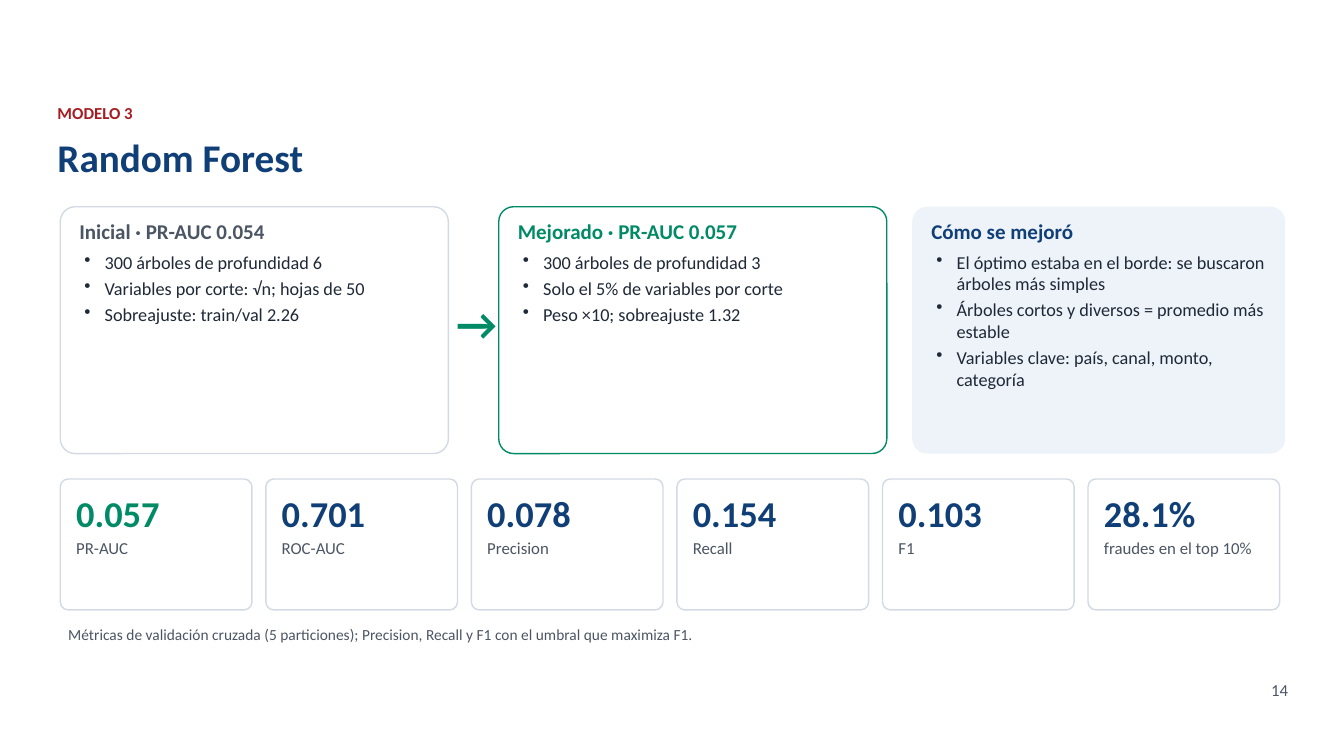
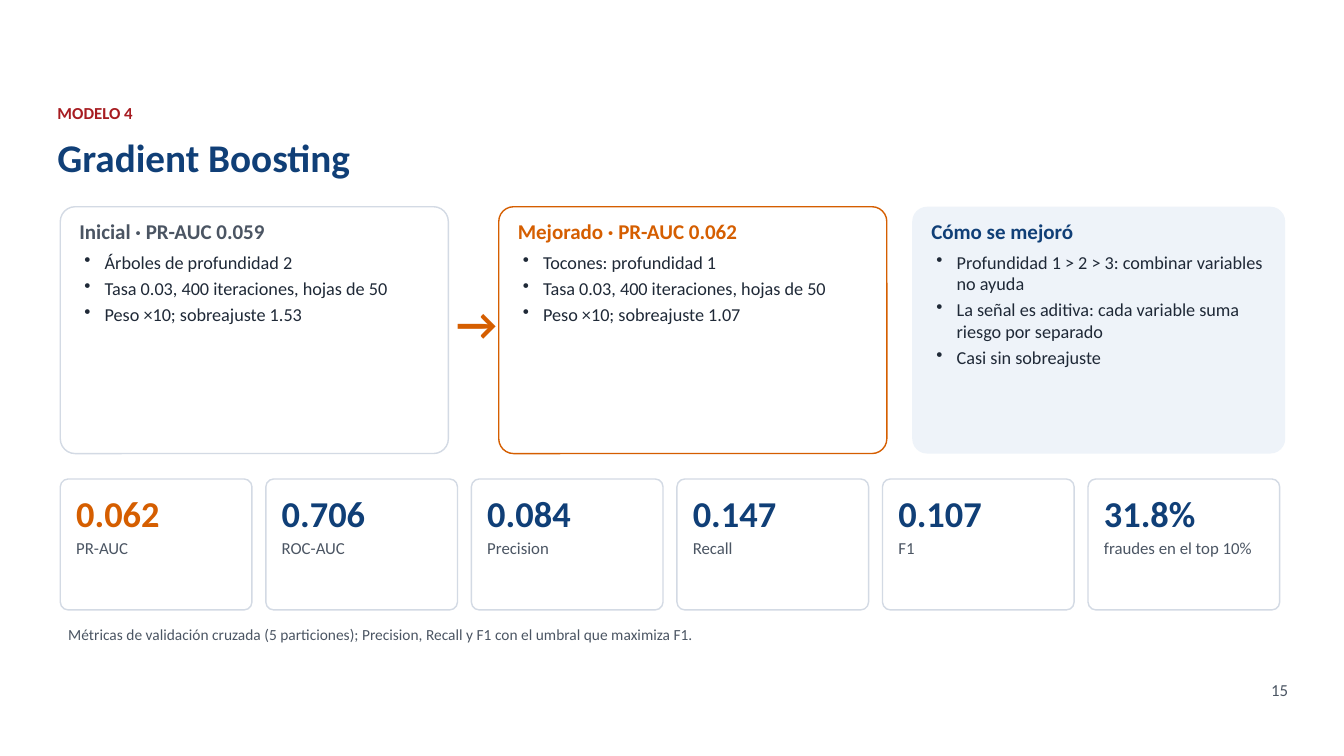
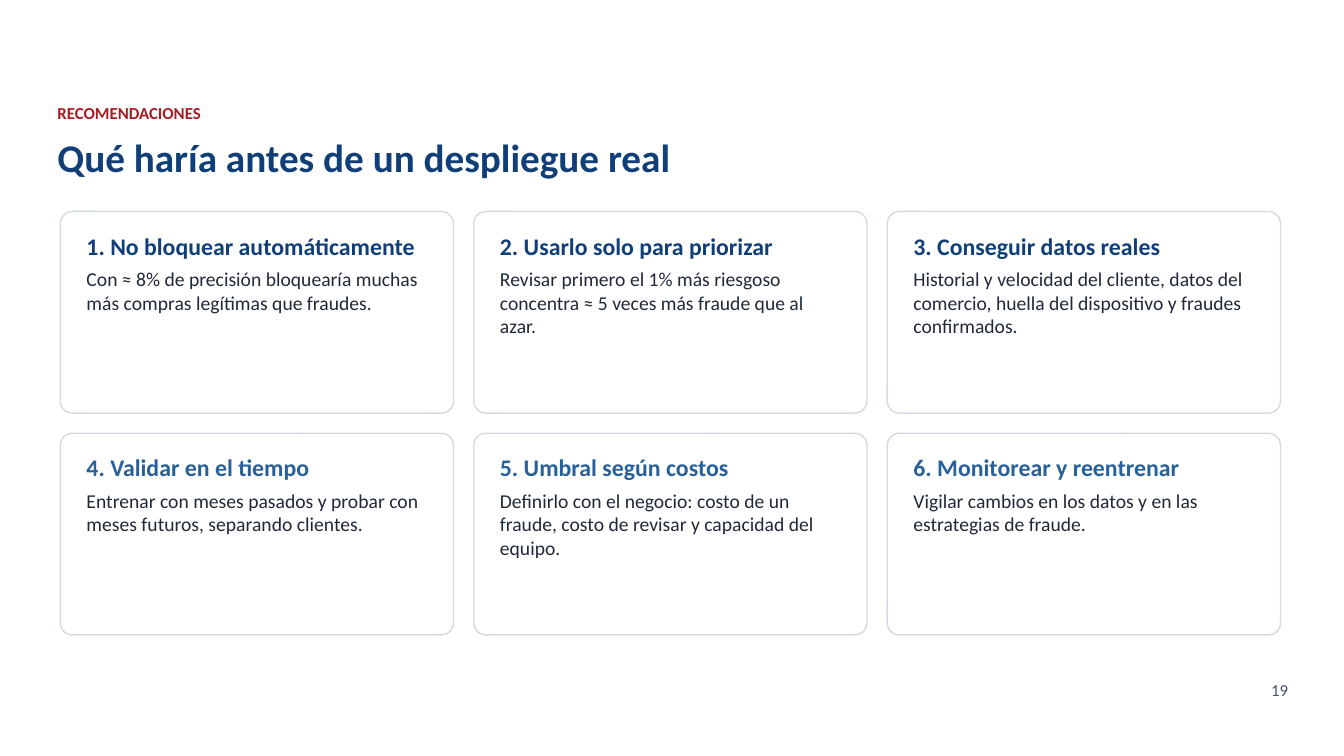
import pptx
import pptx.util
import pptx.dml.color
import pptx.enum.shapes
import pptx.enum.text
import pptx.oxml.ns
from lxml import etree

Cm, Pt = pptx.util.Cm, pptx.util.Pt
ALIGN = pptx.enum.text.PP_ALIGN

# Content
METRICS = ["PR-AUC", "ROC-AUC", "Precision", "Recall", "F1", "fraudes en el top 10%"]
METRICS_NOTE = ("Métricas de validación cruzada (5 particiones); "
                "Precision, Recall y F1 con el umbral que maximiza F1.")
MODELS = [
    {
        "kicker": "MODELO 3", "title": "Random Forest", "page": "14", "accent": "green",
        "initial": ("Inicial · PR-AUC 0.054", [
            "300 árboles de profundidad 6",
            "Variables por corte: √n; hojas de 50",
            "Sobreajuste: train/val 2.26"]),
        "improved": ("Mejorado · PR-AUC 0.057", [
            "300 árboles de profundidad 3",
            "Solo el 5% de variables por corte",
            "Peso ×10; sobreajuste 1.32"]),
        "how": ("Cómo se mejoró", [
            "El óptimo estaba en el borde: se buscaron árboles más simples",
            "Árboles cortos y diversos = promedio más estable",
            "Variables clave: país, canal, monto, categoría"]),
        "values": ["0.057", "0.701", "0.078", "0.154", "0.103", "28.1%"],
    },
    {
        "kicker": "MODELO 4", "title": "Gradient Boosting", "page": "15", "accent": "orange",
        "initial": ("Inicial · PR-AUC 0.059", [
            "Árboles de profundidad 2",
            "Tasa 0.03, 400 iteraciones, hojas de 50",
            "Peso ×10; sobreajuste 1.53"]),
        "improved": ("Mejorado · PR-AUC 0.062", [
            "Tocones: profundidad 1",
            "Tasa 0.03, 400 iteraciones, hojas de 50",
            "Peso ×10; sobreajuste 1.07"]),
        "how": ("Cómo se mejoró", [
            "Profundidad 1 > 2 > 3: combinar variables no ayuda",
            "La señal es aditiva: cada variable suma riesgo por separado",
            "Casi sin sobreajuste"]),
        "values": ["0.062", "0.706", "0.084", "0.147", "0.107", "31.8%"],
    },
]
ADVICE = {
    "kicker": "RECOMENDACIONES", "title": "Qué haría antes de un despliegue real", "page": "19",
    "cards": [
        ("1. No bloquear automáticamente",
         "Con ≈ 8% de precisión bloquearía muchas más compras legítimas que fraudes."),
        ("2. Usarlo solo para priorizar",
         "Revisar primero el 1% más riesgoso concentra ≈ 5 veces más fraude que al azar."),
        ("3. Conseguir datos reales",
         "Historial y velocidad del cliente, datos del comercio, huella del dispositivo "
         "y fraudes confirmados."),
        ("4. Validar en el tiempo",
         "Entrenar con meses pasados y probar con meses futuros, separando clientes."),
        ("5. Umbral según costos",
         "Definirlo con el negocio: costo de un fraude, costo de revisar y capacidad del equipo."),
        ("6. Monitorear y reentrenar",
         "Vigilar cambios en los datos y en las estrategias de fraude."),
    ],
}

# Shared look
COLORS = {
    "red": "A71C21", "navy": "103F77", "blue": "286099", "gray": "4B5563", "ink": "1F2937",
    "green": "008A66", "orange": "D55E00", "border": "D3DAE4", "pale": "EEF3F9",
    "white": "FFFFFF",
}
# Style: font size, bold, space after
STYLES = {
    "kicker": (12, True, 4), "title": (28, True, 4), "page": (12, False, 4),
    "panel_head": (15, True, 5), "bullet": (13, False, 3), "arrow": (32, True, 4),
    "value": (26, True, 2), "metric": (12, False, 4), "note": (11, False, 4),
    "card_head": (17, True, 5), "card_body": (14, False, 4),
}
LEFT = 1.52  # left edge of all cards, in cm
PANEL_TOP, PANEL_W, PANEL_H = 5.21, 9.78, 6.22
ARROW_W = 1.27
HOW_LEFT, HOW_W = 22.99, 9.4
METRIC_TOP, METRIC_W, METRIC_H, METRIC_STEP = 12.07, 4.83, 3.3, 5.18
CARD_TOP, CARD_W, CARD_H, CARD_GAP = 5.33, 9.91, 5.08, 0.51


def rgb(color):
    return pptx.dml.color.RGBColor.from_string(COLORS[color])


def add_bullet(paragraph):
    properties = paragraph._p.get_or_add_pPr()
    properties.set("marL", str(Cm(0.64)))
    properties.set("indent", str(Cm(-0.51)))
    etree.SubElement(properties, pptx.oxml.ns.qn("a:buChar")).set("char", "•")


def add_text(slide, area, lines, inset, align=ALIGN.LEFT):
    """Write lines of (text, style, color) in an area given in cm."""
    frame = slide.shapes.add_textbox(*map(Cm, area)).text_frame
    frame.word_wrap = True
    frame.auto_size = pptx.enum.text.MSO_AUTO_SIZE.SHAPE_TO_FIT_TEXT
    for side in ("left", "top", "right", "bottom"):
        setattr(frame, f"margin_{side}", Cm(inset))
    for i, (text, style, color) in enumerate(lines):
        paragraph = frame.add_paragraph() if i else frame.paragraphs[0]
        if style == "bullet":
            add_bullet(paragraph)
        size, bold, after = STYLES[style]
        paragraph.alignment = align
        paragraph.space_after = Pt(after)
        run = paragraph.add_run()
        run.text = text
        for name, value in {"name": "Calibri", "size": Pt(size), "bold": bold}.items():
            setattr(run.font, name, value)
        run.font.color.rgb = rgb(color)


def add_card(slide, area, fill="white", border="border"):
    card = slide.shapes.add_shape(pptx.enum.shapes.MSO_SHAPE.ROUNDED_RECTANGLE, *map(Cm, area))
    card.adjustments[0] = 0.06
    card.shadow.inherit = False
    card.fill.solid()
    card.fill.fore_color.rgb = rgb(fill)
    if border:
        card.line.color.rgb = rgb(border)
        card.line.width = Pt(1)
    else:
        card.line.fill.background()


def add_panel(slide, left, width, content, head_color, **look):
    head, bullets = content
    add_card(slide, (left, PANEL_TOP, width, PANEL_H), **look)
    lines = [(head, "panel_head", head_color)] + [(b, "bullet", "ink") for b in bullets]
    add_text(slide, (left + 0.38, PANEL_TOP + 0.2, width - 0.76, PANEL_H - 0.4), lines, 0.1)


def start_slide(deck, content):
    slide = deck.slides.add_slide(deck.slide_layouts[6])
    slide.background.fill.solid()
    slide.background.fill.fore_color.rgb = rgb("white")
    add_text(slide, (1.4, 2.54, 30.99, 0.89), [(content["kicker"], "kicker", "red")], 0.05)
    add_text(slide, (1.4, 3.3, 30.99, 1.78), [(content["title"], "title", "navy")], 0.05)
    add_text(slide, (29.46, 17.07, 3.05, 0.76), [(content["page"], "page", "gray")], 0.05,
             ALIGN.RIGHT)
    return slide


def add_model_slide(deck, model):
    slide = start_slide(deck, model)
    accent = model["accent"]

    # Before, after and explanation
    arrow_left = LEFT + PANEL_W
    add_panel(slide, LEFT, PANEL_W, model["initial"], "gray")
    add_text(slide, (arrow_left, 7.24, ARROW_W, 1.52), [("→", "arrow", accent)], 0.2,
             ALIGN.CENTER)
    add_panel(slide, arrow_left + ARROW_W, PANEL_W, model["improved"], accent, border=accent)
    add_panel(slide, HOW_LEFT, HOW_W, model["how"], "navy", fill="pale", border=None)

    # Row of metrics
    for i, (value, metric) in enumerate(zip(model["values"], METRICS)):
        left = LEFT + i * METRIC_STEP
        add_card(slide, (left, METRIC_TOP, METRIC_W, METRIC_H))
        add_text(slide, (left + 0.3, METRIC_TOP + 0.2, METRIC_W - 0.6, METRIC_H - 0.4),
                 [(value, "value", "navy" if i else accent), (metric, "metric", "gray")], 0.1)
    add_text(slide, (LEFT, 15.54, 30.86, 0.89), [(METRICS_NOTE, "note", "gray")], 0.2)


def add_advice_slide(deck, advice):
    slide = start_slide(deck, advice)
    for i, (head, body) in enumerate(advice["cards"]):
        row, column = divmod(i, 3)
        left = LEFT + column * (CARD_W + CARD_GAP)
        top = CARD_TOP + row * (CARD_H + CARD_GAP)
        add_card(slide, (left, top, CARD_W, CARD_H))
        add_text(slide, (left + 0.46, top + 0.3, 9.02, 4.57),
                 [(head, "card_head", "blue" if row else "navy"), (body, "card_body", "ink")],
                 0.2)


def main():
    deck = pptx.Presentation()
    deck.slide_width, deck.slide_height = Cm(33.87), Cm(19.05)
    for model in MODELS:
        add_model_slide(deck, model)
    add_advice_slide(deck, ADVICE)
    deck.save("out.pptx")


if __name__ == "__main__":
    main()
